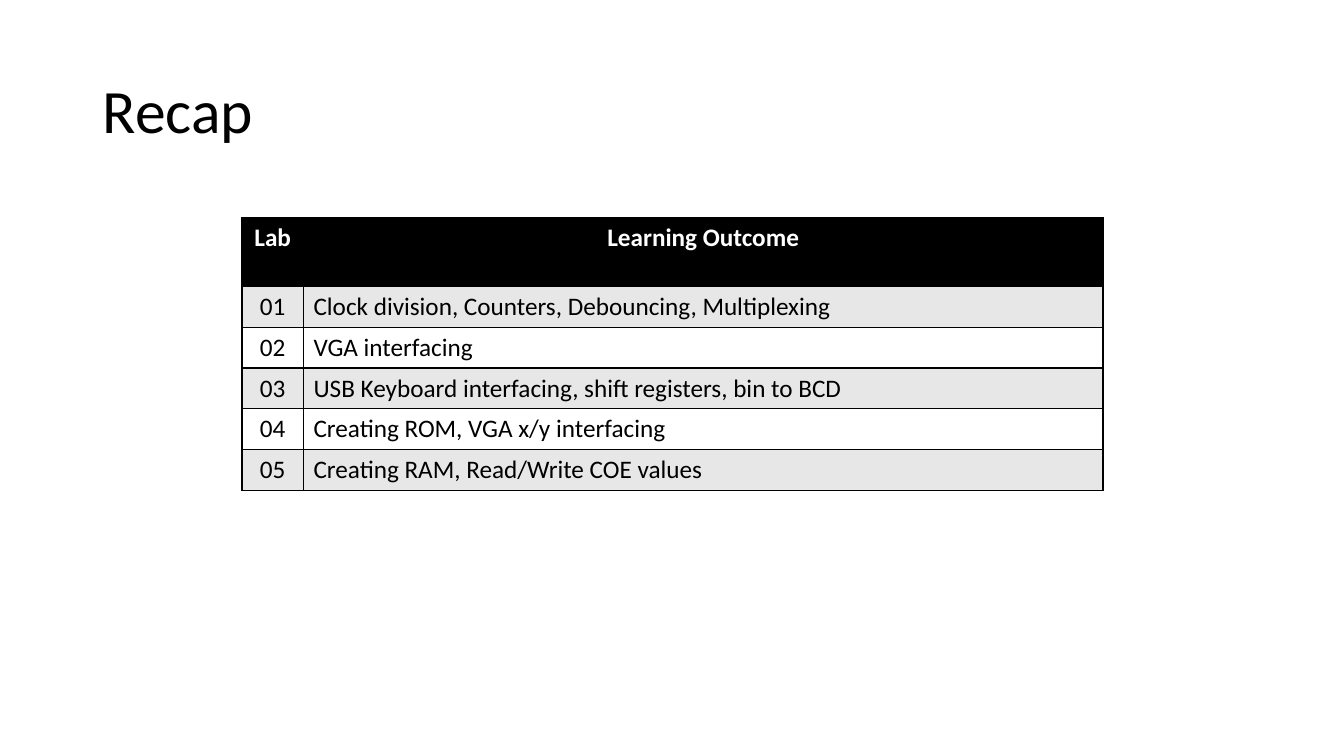
"""Build the recap slide with its table of labs and learning outcomes."""
from dataclasses import dataclass

from lxml.etree import SubElement
from pptx import Presentation
from pptx.dml.color import RGBColor
from pptx.enum.text import MSO_ANCHOR, PP_ALIGN as Align
from pptx.oxml.ns import qn
from pptx.util import Inches, Pt

BLACK = RGBColor(0x00, 0x00, 0x00)
WHITE = RGBColor(0xFF, 0xFF, 0xFF)
GREY = RGBColor(0xE7, 0xE7, 0xE7)
FONT = "Calibri"


@dataclass
class Lab:
    code: str
    outcome: str


HEAD = Lab("Lab", "Learning Outcome")
LABS = [
    Lab("01", "Clock division, Counters, Debouncing, Multiplexing"),
    Lab("02", "VGA interfacing"),
    Lab("03", "USB Keyboard interfacing, shift registers, bin to BCD"),
    Lab("04", "Creating ROM, VGA x/y interfacing"),
    Lab("05", "Creating RAM, Read/Write COE values"),
]


def style(para, size: int, color: RGBColor, bold: bool = False) -> None:
    for run in para.runs:
        font = run.font
        font.name, font.size, font.bold = FONT, Pt(size), bold
        font.color.rgb = color


def border(cell) -> None:
    props = cell._tc.get_or_add_tcPr()
    for at, side in enumerate(("lnL", "lnR", "lnT", "lnB")):
        line = SubElement(props, qn(f"a:{side}"), w=str(Pt(0.96)))
        fill = SubElement(line, qn("a:solidFill"))
        SubElement(fill, qn("a:srgbClr"), val=str(BLACK))
        props.insert(at, line)


def put(cell, text: str, fill: RGBColor, align: Align, head: bool) -> None:
    cell.fill.solid()
    cell.fill.fore_color.rgb = fill
    border(cell)
    cell.text_frame.text = text
    para = cell.text_frame.paragraphs[0]
    para.alignment = align
    style(para, 18, WHITE if head else BLACK, head)


def add_title(slide, text: str) -> None:
    title = slide.shapes.title
    title.left, title.top = Inches(0.92), Inches(0.4)
    title.width, title.height = Inches(11.5), Inches(1.45)
    frame = title.text_frame
    frame.text = text
    frame.word_wrap = True
    frame.vertical_anchor = MSO_ANCHOR.MIDDLE
    para = frame.paragraphs[0]
    para.alignment = Align.LEFT
    para.line_spacing = 0.9
    style(para, 44, BLACK)


def add_labs(slide) -> None:
    rows = [HEAD, *LABS]
    table = slide.shapes.add_table(
        len(rows), 2, Inches(2.4), Inches(2.16), Inches(8.54), Inches(2.63)
    ).table
    table.columns[0].width = Inches(0.61)
    table.columns[1].width = Inches(7.93)
    for i, lab in enumerate(rows):
        head = i == 0
        table.rows[i].height = Inches(0.68 if head else 0.39)
        fill = BLACK if head else GREY if i % 2 else WHITE
        put(table.cell(i, 0), lab.code, fill, Align.CENTER, head)
        side = Align.CENTER if head else Align.LEFT
        put(table.cell(i, 1), lab.outcome, fill, side, head)


def main() -> None:
    deck = Presentation()
    deck.slide_width, deck.slide_height = Inches(13.33), Inches(7.5)
    slide = deck.slides.add_slide(deck.slide_layouts[5])
    add_title(slide, "Recap")
    add_labs(slide)
    deck.save("out.pptx")


if __name__ == "__main__":
    main()
